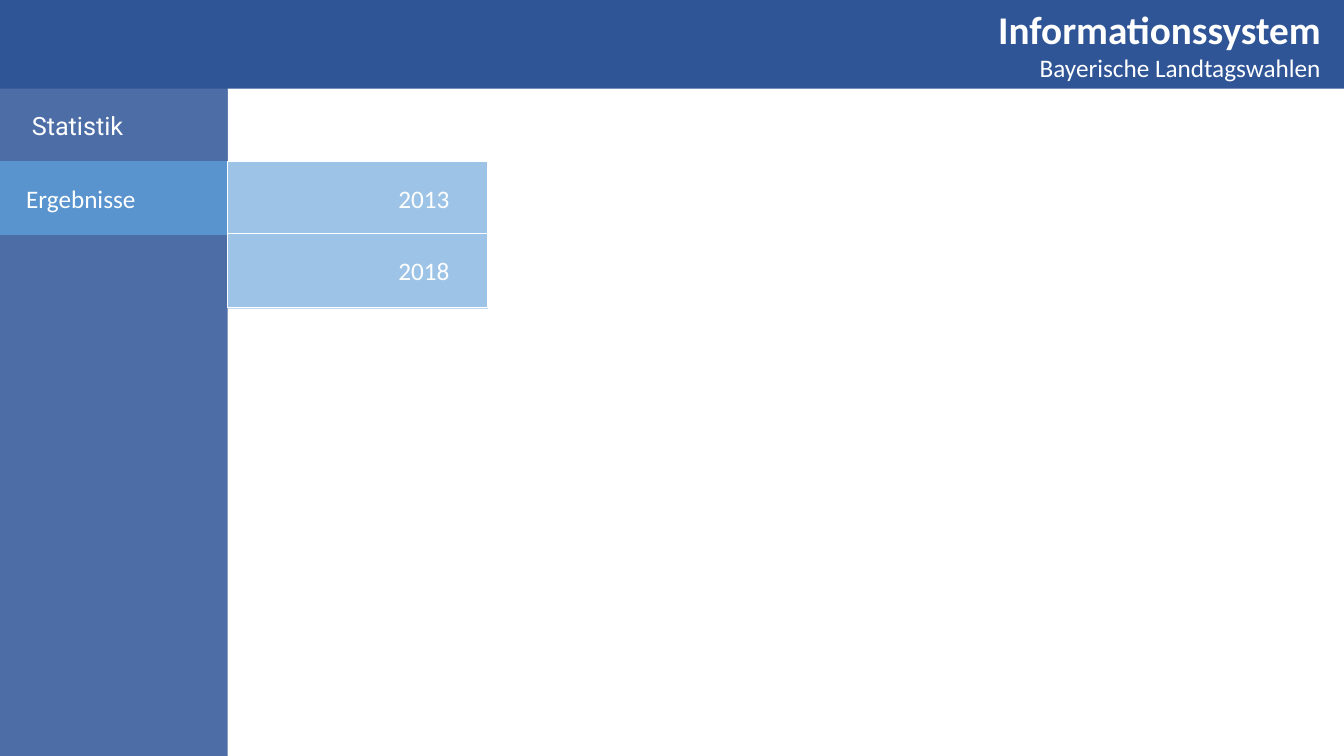
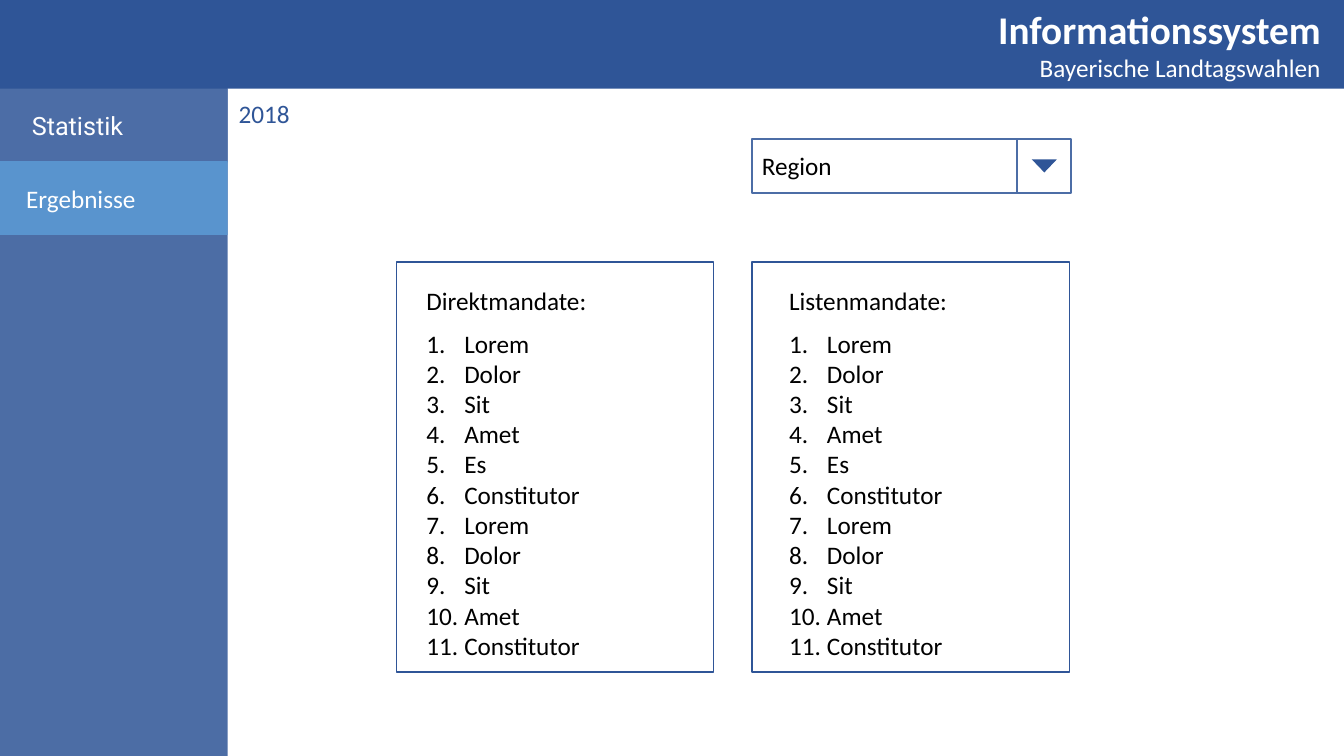
from dataclasses import dataclass

from lxml import etree
from pptx import Presentation
from pptx.dml.color import RGBColor
from pptx.enum.shapes import MSO_SHAPE
from pptx.enum.text import MSO_ANCHOR, PP_ALIGN
from pptx.oxml.ns import qn
from pptx.util import Pt

RECTANGLE = MSO_SHAPE.RECTANGLE
TRIANGLE = MSO_SHAPE.ISOSCELES_TRIANGLE
LEFT, RIGHT = PP_ALIGN.LEFT, PP_ALIGN.RIGHT
TOP, MIDDLE = MSO_ANCHOR.TOP, MSO_ANCHOR.MIDDLE


@dataclass(frozen=True)
class Theme:
    navy: str = "2F5597"
    slate: str = "4C6DA6"
    active: str = "5994CE"
    pale: str = "9DC3E6"
    white: str = "FFFFFF"
    black: str = "000000"
    font: str = "Calibri"
    accent_font: str = "Roboto"
    title_size: float = 28
    body_size: float = 18


THEME = Theme()
SLIDE_WIDTH, SLIDE_HEIGHT = 960, 540
HEADER_HEIGHT = 63.4
SIDEBAR_WIDTH = 162.7
ROW_HEIGHT = 52.6
ROW_PITCH = 51.8
MENU_TOP = HEADER_HEIGHT + ROW_PITCH
CARD_TOP, CARD_WIDTH, CARD_HEIGHT = 187.2, 226.8, 293
RIGHT_CARD_LEFT = 537.1
NUMBER_INDENT = 27
NAMES = ["Lorem", "Dolor", "Sit", "Amet", "Es", "Constitutor",
         "Lorem", "Dolor", "Sit", "Amet", "Constitutor"]


def rgb(color):
    return RGBColor.from_string(color)


def add_box(slide, left, top, width, height, fill, line=None, line_width=1,
            kind=RECTANGLE):
    shape = slide.shapes.add_shape(kind, Pt(left), Pt(top), Pt(width), Pt(height))
    shape.shadow.inherit = False
    shape.fill.solid()
    shape.fill.fore_color.rgb = rgb(fill)
    if line:
        shape.line.color.rgb = rgb(line)
        shape.line.width = Pt(line_width)
    else:
        shape.line.fill.background()
    return shape


def set_opacity(shape, percent):
    color = shape.fill._xPr.find(qn("a:solidFill"))[0]
    etree.SubElement(color, qn("a:alpha"), val=str(percent * 1000))


def set_frame(shape, anchor=MIDDLE, **margins):
    """Wrap and anchor the text; margins such as margin_left are in points."""
    frame = shape.text_frame
    frame.word_wrap = True
    frame.vertical_anchor = anchor
    for name, value in margins.items():
        setattr(frame, name, Pt(value))
    return frame


def write(paragraph, text, color=THEME.white, alignment=LEFT, **changes):
    paragraph.alignment = alignment
    run = paragraph.add_run()
    run.text = text
    font_format = {"name": THEME.font, "size": Pt(THEME.body_size), "bold": False}
    for name, value in (font_format | changes).items():
        setattr(run.font, name, value)
    run.font.color.rgb = rgb(color)


def number(paragraph):
    properties = paragraph._p.get_or_add_pPr()
    indent = Pt(NUMBER_INDENT)
    properties.set("marL", str(indent))
    properties.set("indent", str(-indent))
    etree.SubElement(properties, qn("a:buFont"), typeface="+mj-lt")
    etree.SubElement(properties, qn("a:buAutoNum"), type="arabicPeriod")


def add_text_box(slide, left, top, width, height):
    box = slide.shapes.add_textbox(Pt(left), Pt(top), Pt(width), Pt(height))
    return set_frame(box, TOP)


def add_header(slide):
    add_box(slide, 0, 0, SLIDE_WIDTH, HEADER_HEIGHT, THEME.navy)
    frame = add_text_box(slide, 656.6, 0, 293.8, HEADER_HEIGHT)
    write(frame.paragraphs[0], "Informationssystem", alignment=RIGHT,
          size=Pt(THEME.title_size), bold=True)
    write(frame.add_paragraph(), "Bayerische Landtagswahlen", alignment=RIGHT)


def add_sidebar(slide):
    sidebar = add_box(slide, 0, 0, SIDEBAR_WIDTH, SLIDE_HEIGHT, THEME.navy)
    set_opacity(sidebar, 86)
    entries = [("Statistik", THEME.slate, THEME.accent_font, 22.8),
               ("Ergebnisse", THEME.active, THEME.font, 18.7)]
    for index, (label, fill, font, margin) in enumerate(entries):
        entry = add_box(slide, 0, HEADER_HEIGHT + index * ROW_PITCH,
                        SIDEBAR_WIDTH, ROW_HEIGHT, fill)
        frame = set_frame(entry, margin_left=margin)
        write(frame.paragraphs[0], label, name=font)


def add_page(presentation):
    """Add a blank slide with the shared sidebar and header."""
    slide = presentation.slides.add_slide(presentation.slide_layouts[6])
    add_sidebar(slide)
    add_header(slide)
    return slide


def add_year_menu(slide, years):
    width = 185.8
    add_box(slide, SIDEBAR_WIDTH, MENU_TOP, width, len(years) * ROW_HEIGHT, THEME.pale)
    for index, year in enumerate(years):
        row = add_box(slide, SIDEBAR_WIDTH, MENU_TOP + index * ROW_PITCH,
                      width, ROW_HEIGHT, THEME.pale, THEME.white)
        frame = set_frame(row, margin_right=27.4)
        write(frame.paragraphs[0], year, alignment=RIGHT)


def add_dropdown(slide, label):
    top, height, button_left, button_width = 99.4, 38.2, 726.5, 38.9
    arrow_width, arrow_height = 18, 9.4
    field = add_box(slide, RIGHT_CARD_LEFT, top, CARD_WIDTH, height,
                    THEME.white, THEME.slate, 1.5)
    write(set_frame(field).paragraphs[0], label, THEME.black)
    add_box(slide, button_left, top, button_width, height,
            THEME.white, THEME.slate, 1.5)
    arrow = add_box(slide, button_left + (button_width - arrow_width) / 2,
                    top + (height - arrow_height) / 2,
                    arrow_width, arrow_height, THEME.navy, kind=TRIANGLE)
    arrow.rotation = 180


def add_list_card(slide, left, heading, names, margin):
    card = add_box(slide, left, CARD_TOP, CARD_WIDTH, CARD_HEIGHT,
                   THEME.white, THEME.navy)
    frame = set_frame(card, TOP, margin_left=margin, margin_top=16.6, margin_bottom=0)
    title = frame.paragraphs[0]
    title.space_after = Pt(8.8)
    write(title, heading, THEME.black)
    for name in names:
        paragraph = frame.add_paragraph()
        write(paragraph, name, THEME.black)
        number(paragraph)


def main():
    presentation = Presentation()
    presentation.slide_width = Pt(SLIDE_WIDTH)
    presentation.slide_height = Pt(SLIDE_HEIGHT)

    menu_page = add_page(presentation)
    add_year_menu(menu_page, ["2013", "2018"])

    results_page = add_page(presentation)
    add_dropdown(results_page, "Region")
    add_list_card(results_page, 283, "Direktmandate:", NAMES, 21.6)
    add_list_card(results_page, RIGHT_CARD_LEFT, "Listenmandate:", NAMES, 26.6)
    year_frame = add_text_box(results_page, 163.4, 67, 98.6, 28.8)
    write(year_frame.paragraphs[0], "2018", THEME.navy)

    presentation.save("out.pptx")


if __name__ == "__main__":
    main()
